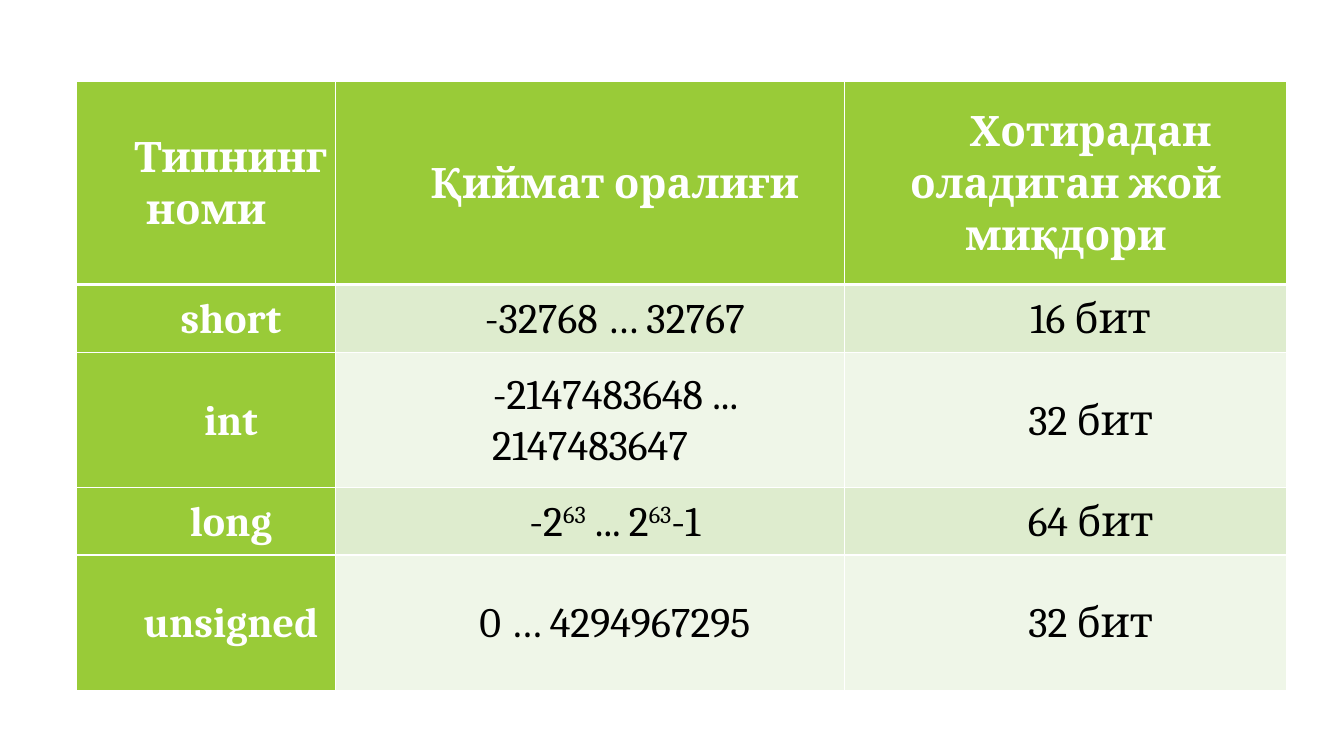
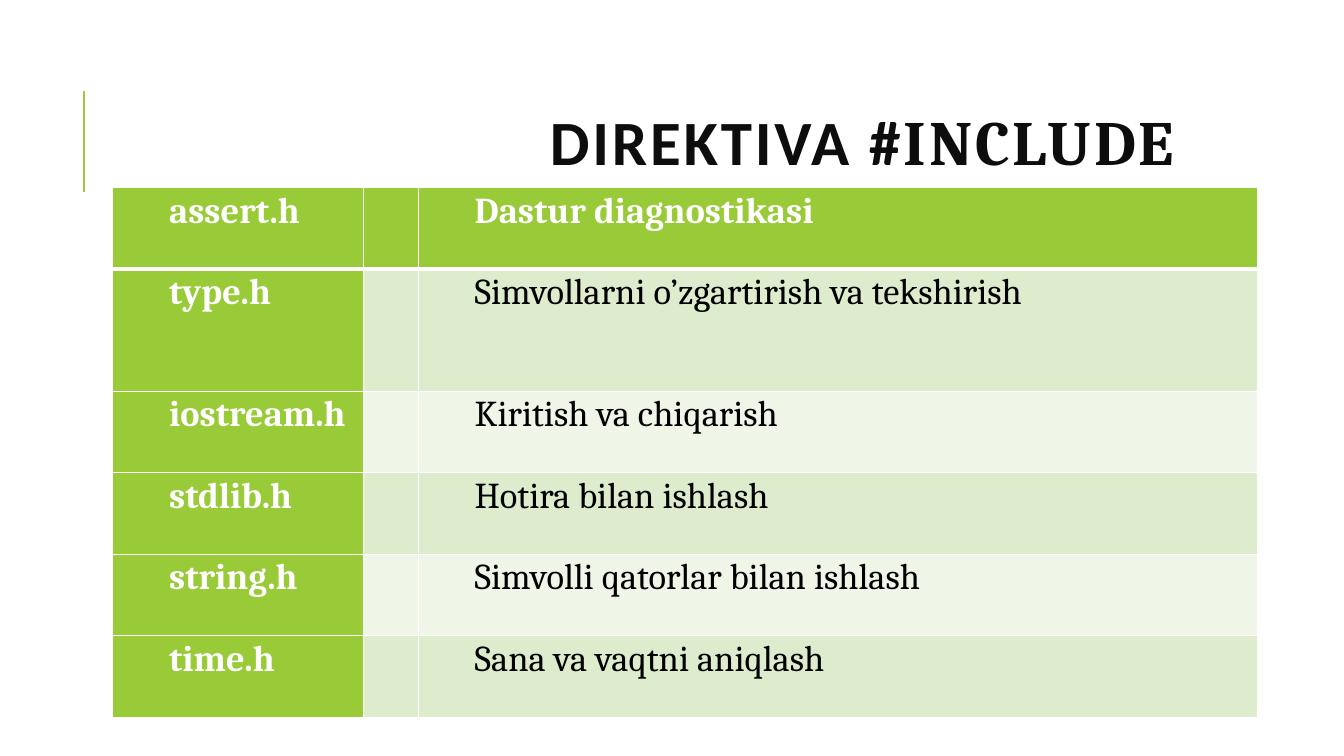
from lxml.etree import SubElement
from pptx import Presentation
from pptx.dml.color import RGBColor
from pptx.enum.shapes import MSO_CONNECTOR
from pptx.enum.text import MSO_ANCHOR, PP_ALIGN
from pptx.oxml.ns import qn
from pptx.util import Pt

GREEN = RGBColor(0x99, 0xCB, 0x38)
BAND_DARK = RGBColor(0xDE, 0xEC, 0xCE)
BAND_LIGHT = RGBColor(0xEF, 0xF6, 0xE8)
WHITE = RGBColor(0xFF, 0xFF, 0xFF)
BLACK = RGBColor(0, 0, 0)
TITLE_INK = RGBColor(0x0D, 0x0D, 0x0D)
FIRST_LINE_INDENT = Pt(35.28)


def add_text(paragraph, text, size, color, font="Cambria", bold=False, raised=False, spacing=0):
    run = paragraph.add_run()
    run.text = text
    run.font.size = Pt(size)
    run.font.name = font
    run.font.bold = bold
    run.font.color.rgb = color
    properties = run.font._element
    if raised:
        properties.set("baseline", "30000")
    if spacing:
        properties.set("spc", str(spacing * 100))


def add_border(cell, side, width):
    border = SubElement(cell._tc.get_or_add_tcPr(), qn(f"a:ln{side}"), w=str(Pt(width)))
    fill = SubElement(border, qn("a:solidFill"))
    SubElement(fill, qn("a:srgbClr"), val=str(WHITE))


deck = Presentation()
deck.slide_width = Pt(960)
deck.slide_height = Pt(540)

types_slide = deck.slides.add_slide(deck.slide_layouts[6])
headers_slide = deck.slides.add_slide(deck.slide_layouts[5])

accent = types_slide.shapes.add_connector(MSO_CONNECTOR.STRAIGHT, Pt(60), Pt(136.8), Pt(60), Pt(64.8))
accent.line.color.rgb = GREEN
accent.line.width = Pt(1.5)
SubElement(accent.element.spPr, qn("a:effectLst"))
accent.element.nvCxnSpPr.cNvPr.set("id", "20")
deck.slide_master.shapes.element.append(accent.element)

title = headers_slide.shapes.title
title.left, title.top, title.width, title.height = Pt(80.6), Pt(46), Pt(765.4), Pt(118)
title.text_frame.vertical_anchor = MSO_ANCHOR.MIDDLE
heading = title.text_frame.paragraphs[0]
heading.alignment = PP_ALIGN.RIGHT
heading.line_spacing = 0.8
for words, font in (("DIREKTIVA #", "Calibri"), ("INCLUDE", "Cambria")):
    add_text(heading, words, 45, TITLE_INK, font=font, bold=True, spacing=2)

integer_types = [
    ("Типнинг номи", "Қиймат оралиғи", "Хотирадан оладиган жой миқдори"),
    ("short", "-32768 … 32767", "16 бит"),
    ("int", "-2147483648 ... 2147483647", "32 бит"),
    ("long", "-2^63^ ... 2^63^-1", "64 бит"),
    ("unsigned", "0 … 4294967295", "32 бит"),
]
header_files = [
    ("assert.h", "–", "Dastur diagnostikasi"),
    ("type.h", "–", "Simvollarni o’zgartirish va tekshirish"),
    ("iostream.h", "–", "Kiritish va chiqarish"),
    ("stdlib.h", "–", "Hotira bilan ishlash"),
    ("string.h", "–", "Simvolli qatorlar bilan ishlash"),
    ("time.h", "–", "Sana va vaqtni aniqlash"),
]
grids = [
    (types_slide, integer_types, 54.8, 58.4, (185, 363.6, 316), 48.3, (3, 1, 2, 1, 2),
     30, PP_ALIGN.CENTER, MSO_ANCHOR.MIDDLE, 6),
    (headers_slide, header_files, 80.6, 134, (179.3, 38.9, 599.8), 29.1, (2, 3, 2, 2, 2, 2),
     26, PP_ALIGN.JUSTIFY, MSO_ANCHOR.TOP, 0),
]

for slide, entries, left, top, widths, unit, units, size, alignment, anchor, space_before in grids:
    grid = slide.shapes.add_table(
        len(entries), len(widths), Pt(left), Pt(top), Pt(sum(widths)), Pt(unit * sum(units))
    ).table
    grid.first_col = True
    for column, width in zip(grid.columns, widths):
        column.width = Pt(width)
    for row_index, entry in enumerate(entries):
        grid.rows[row_index].height = Pt(unit * units[row_index])
        for column_index, content in enumerate(entry):
            cell = grid.cell(row_index, column_index)
            emphasized = row_index == 0 or column_index == 0
            band = BAND_DARK if row_index % 2 else BAND_LIGHT
            for side in "LRTB":
                below_header = (row_index, side) in ((0, "B"), (1, "T"))
                add_border(cell, side, 3 if below_header else 1)
            cell.fill.solid()
            cell.fill.fore_color.rgb = GREEN if emphasized else band
            cell.margin_left = cell.margin_right = Pt(5)
            cell.margin_top = cell.margin_bottom = 0
            cell.vertical_anchor = anchor
            paragraph = cell.text_frame.paragraphs[0]
            paragraph.alignment = alignment
            paragraph.line_spacing = 1.07
            paragraph.space_before = Pt(space_before)
            paragraph._p.get_or_add_pPr().set("indent", str(FIRST_LINE_INDENT))
            for part_index, part in enumerate(content.split("^")):
                add_text(paragraph, part, size, WHITE if emphasized else BLACK,
                         bold=emphasized, raised=part_index % 2 == 1)

deck.save("out.pptx")
